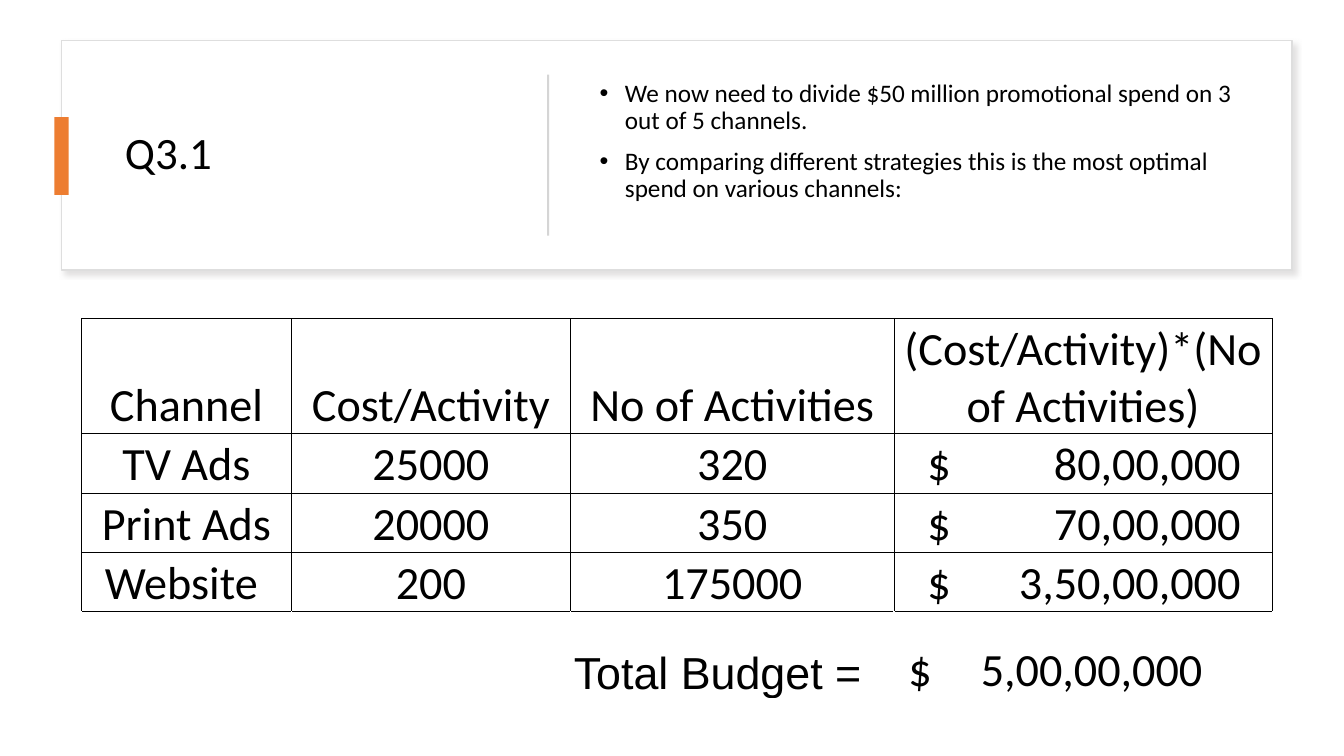
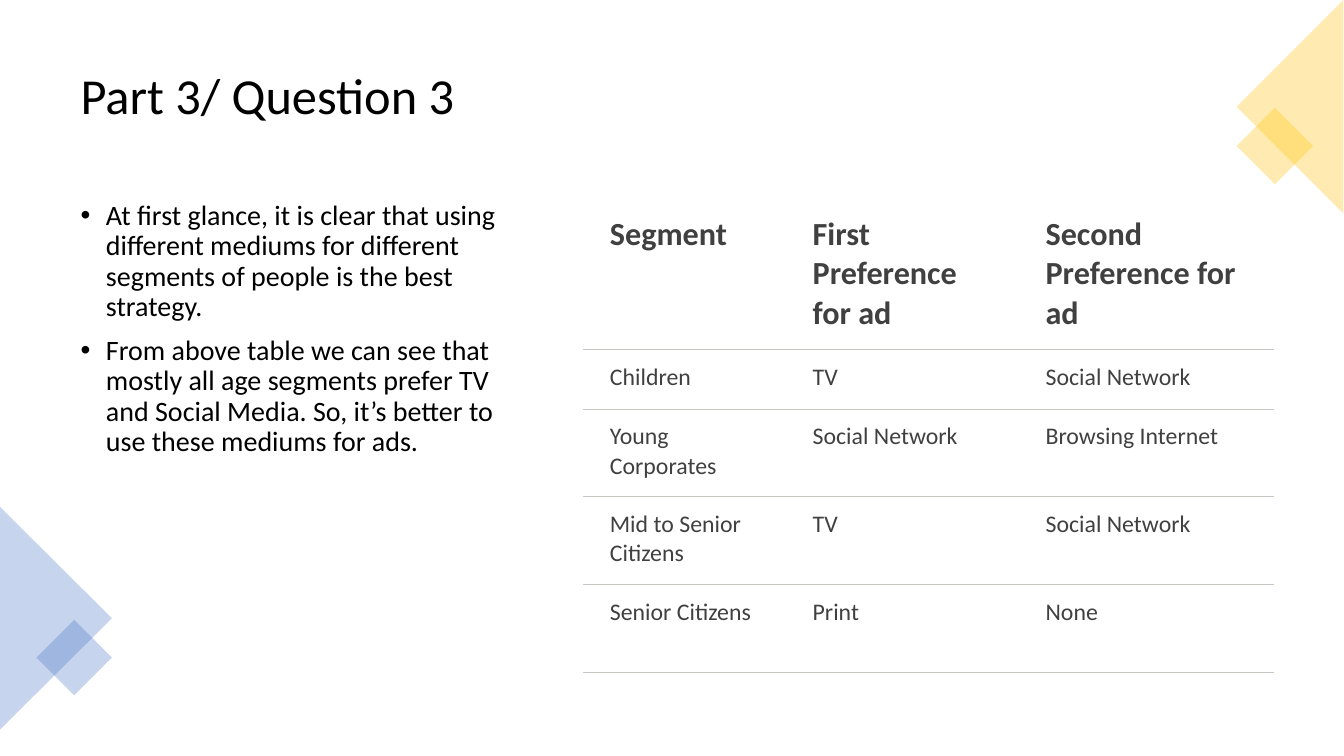
from lxml import etree
from pptx import Presentation
from pptx.dml.color import RGBColor
from pptx.enum import shapes, text
from pptx.oxml import ns
from pptx.util import Cm, Pt

FONT = "Calibri"
BLACK, WHITE, GREY = "000000", "FFFFFF", "404040"
CARD_EDGE, DIVIDER, RULE, ACCENT = "DEDEDE", "D5D5D5", "C7C6C1", "ED7D31"
BLUE, GOLD = "4472C4", "FFC000"
CENTER, LEFT = text.PP_ALIGN.CENTER, text.PP_ALIGN.LEFT
TOP, MIDDLE, BOTTOM = text.MSO_ANCHOR.TOP, text.MSO_ANCHOR.MIDDLE, text.MSO_ANCHOR.BOTTOM
RECTANGLE = shapes.MSO_SHAPE.RECTANGLE
TRIANGLE = shapes.MSO_SHAPE.ISOSCELES_TRIANGLE
DIAMOND = shapes.MSO_SHAPE.DIAMOND

SPEND_POINTS = [
    "We now need to divide $50 million promotional spend on 3 out of 5 channels.",
    "By comparing different strategies this is the most optimal spend on various channels:",
]
BUDGET = [
    ["Channel", "Cost/Activity", "No of Activities", "(Cost/Activity)*(No of Activities)"],
    ["TV Ads", "25000", "320", "$\t80,00,000"],
    ["Print Ads", "20000", "350", "$\t70,00,000"],
    ["Website ", "200", "175000", "$\t3,50,00,000"],
    ["", "", "Total Budget =", "$\t5,00,00,000"],
]
MEDIUM_POINTS = [
    "At first glance, it is clear that using different mediums for different "
    "segments of people is the best strategy.",
    "From above table we can see that mostly all age segments prefer TV and "
    "Social Media. So, it’s better to use these mediums for ads.",
]
PREFERENCES = [
    ["Segment", "First Preference for ad", "Second Preference for ad"],
    ["Children", "TV", "Social Network"],
    ["Young Corporates", "Social Network", "Browsing Internet"],
    ["Mid to Senior Citizens", "TV", "Social Network"],
    ["Senior Citizens", "Print", "None"],
]
CORNERS = [
    (TRIANGLE, BLUE, 1.41, 15.58, 5.61, 2.82, 90),
    (DIAMOND, BLUE, 1.87, 16.57, 1.9, 1.9, 0),
    (DIAMOND, GOLD, 32.13, 3.68, 1.93, 1.93, 0),
    (TRIANGLE, GOLD, 32.51, 2.69, 5.38, 2.69, 270),
]


def color(value):
    return RGBColor.from_string(value)


def element(parent, tag, **attributes):
    return etree.SubElement(parent, ns.qn(tag), {k: str(v) for k, v in attributes.items()})


def write(frame, content, size=18, font=FONT, fill=BLACK, bold=False, align=LEFT,
          spacing=None, bullet=False, tab=None):
    frame.word_wrap = True
    lines = [content] if isinstance(content, str) else content
    for index, line in enumerate(lines):
        paragraph = frame.add_paragraph() if index else frame.paragraphs[0]
        properties = paragraph._p.get_or_add_pPr()
        if bullet:
            properties.set("marL", str(Cm(0.64)))
            properties.set("indent", str(-Cm(0.64)))
            element(properties, "a:buFont", typeface="Arial")
            element(properties, "a:buChar", char="•")
        if tab:
            element(element(properties, "a:tabLst"), "a:tab", pos=Cm(tab), algn="r")
        paragraph.alignment = align
        if spacing:
            paragraph.line_spacing = spacing
        if index:
            paragraph.space_before = Pt(10)
        run = paragraph.add_run()
        run.text = line
        run.font.name, run.font.size, run.font.bold = font, Pt(size), bold
        run.font.color.rgb = color(fill)


def add_text(slide, box, content, anchor=MIDDLE, **style):
    frame = slide.shapes.add_textbox(*map(Cm, box)).text_frame
    frame.vertical_anchor = anchor
    write(frame, content, spacing=0.9, **style)


def add_block(slide, box, fill, kind=RECTANGLE, edge=None, alpha=None, rotation=0):
    block = slide.shapes.add_shape(kind, *map(Cm, box))
    block.shadow.inherit = False
    block.rotation = rotation
    block.fill.solid()
    block.fill.fore_color.rgb = color(fill)
    if alpha:
        element(block._element.spPr.find(".//" + ns.qn("a:srgbClr")), "a:alpha", val=alpha * 1000)
    if edge:
        block.line.color.rgb = color(edge)
        block.line.width = Pt(1)
    else:
        block.line.fill.background()
    return block


def add_card(slide, box):
    card = add_block(slide, box, WHITE, edge=CARD_EDGE)
    effects = card._element.spPr.find(ns.qn("a:effectLst"))
    shadow = element(effects, "a:outerShdw", blurRad=Pt(4), dist=Pt(3), dir=45 * 60000)
    element(element(shadow, "a:srgbClr", val="C5C3C3"), "a:alpha", val=50000)


def add_grid(slide, left, top, widths, heights):
    grid = slide.shapes.add_table(len(heights), len(widths), Cm(left), Cm(top),
                                  Cm(sum(widths)), Cm(sum(heights))).table
    grid.first_row = grid.horz_banding = False
    for column, width in zip(grid.columns, widths):
        column.width = Cm(width)
    for row, height in zip(grid.rows, heights):
        row.height = Cm(height)
    return grid


def fill_cell(cell, content, margins, anchor=TOP, sides="", edge=BLACK, width=0.5, **style):
    (cell.margin_left, cell.margin_top,
     cell.margin_right, cell.margin_bottom) = map(Cm, margins)
    cell.vertical_anchor = anchor
    for side in sides:
        line = element(cell._tc.get_or_add_tcPr(), "a:ln" + side, w=Pt(width))
        element(element(line, "a:solidFill"), "a:srgbClr", val=edge)
    cell.fill.background()
    if content:
        write(cell.text_frame, content, **style)


def build_budget(slide):
    add_card(slide, (1.55, 1.02, 31.01, 5.79))
    add_text(slide, (2.9, 1.63, 9.88, 4.57), "Q3.1", size=32)
    add_block(slide, (1.37, 2.95, 0.36, 1.96), ACCENT)
    add_block(slide, (13.79, 1.88, 0.05, 4.06), DIVIDER)
    add_text(slide, (14.86, 1.63, 16.66, 3.89), SPEND_POINTS, bullet=True)

    grid = add_grid(slide, 2.06, 8.03, [5.28, 7.04, 8.15, 9.53], [2.9, 1.49, 1.49, 1.49, 2.21])
    for r, row in enumerate(BUDGET):
        total = row is BUDGET[-1]
        for c, content in enumerate(row):
            amount = "\t" in content
            inset, tab = (0.36, 7.42) if total else (0.84, 7.9)
            fill_cell(grid.cell(r, c), content, (inset if amount else 0.08, 0.08, 0.08, 0),
                      anchor=BOTTOM, sides="T" if total else "LRTB",
                      align=LEFT if total or amount else CENTER,
                      tab=tab if amount else None,
                      size=32 if total and not amount else 33,
                      font="Arial" if total and not amount else FONT)


def build_preferences(slide):
    add_text(slide, (1.78, 0.89, 30.3, 3.15), "Part 3/ Question 3", size=36)
    add_text(slide, (1.78, 4.95, 11.13, 12.22), MEDIUM_POINTS, anchor=TOP, size=20, bullet=True)
    for kind, fill, x, y, width, height, rotation in CORNERS:
        add_block(slide, (x - width / 2, y - height / 2, width, height), fill,
                  kind=kind, alpha=30, rotation=rotation)

    grid = add_grid(slide, 14.71, 5.08, [5.11, 5.87, 6.4], [3.73, 1.5, 2.21, 2.21, 2.21])
    for r, row in enumerate(PREFERENCES):
        for c, content in enumerate(row):
            fill_cell(grid.cell(r, c), content, (0.66, 0.33, 0.48, 0.33),
                      sides="TB" if r else "B", edge=RULE, width=0.75,
                      size=17 if r else 23, bold=r == 0, fill=GREY)


def main():
    deck = Presentation()
    deck.slide_width, deck.slide_height = Cm(33.87), Cm(19.05)
    for build in (build_budget, build_preferences):
        build(deck.slides.add_slide(deck.slide_layouts[6]))
    deck.save("out.pptx")


if __name__ == "__main__":
    main()
